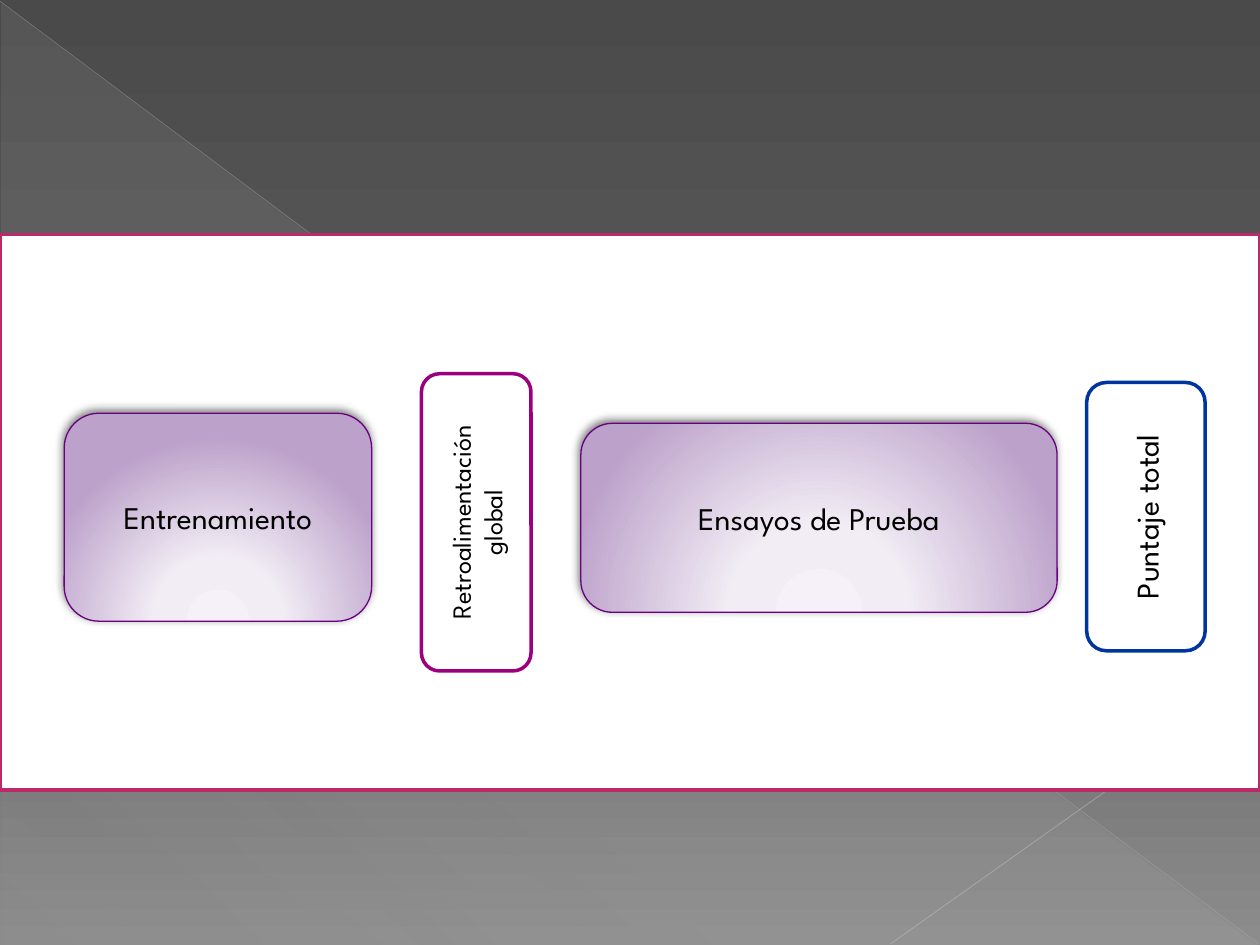
from dataclasses import dataclass

from lxml import etree
from pptx import Presentation
from pptx.dml.color import RGBColor
from pptx.enum import shapes, text
from pptx.oxml import ns
from pptx.util import Inches, Pt


@dataclass(frozen=True)
class Theme:
    """Colours, gradients and type of the slide."""
    font: str = "League Spartan"
    body: int = 18
    small: int = 15
    ink: str = "000000"
    white: str = "FFFFFF"
    band: str = "BD2968"
    stage: str = "68007F"
    feedback: str = "9C007F"
    score: str = "00349E"
    backdrop: tuple = ((0, "4A4A4A", 100), (60, "626262", 100), (100, "8C8C8C", 100))
    veil: tuple = ((0, "D2D2D2", 10), (70, "D2D2D2", 8), (100, "D2D2D2", 1))
    glow: tuple = ((0, "F6F1F8", 100), (34, "F2EDF5", 100), (100, "BCA1CA", 100))


THEME = Theme()


def add_xml(parent, tag, **attrs):
    """Append a DrawingML element with the given attributes."""
    return etree.SubElement(parent, ns.qn(f"a:{tag}"), {k: str(v) for k, v in attrs.items()})


def add_alpha(color, percent):
    """Set the opacity of a colour element."""
    add_xml(color, "alpha", val=percent * 1000)


def set_gradient(fill, owner, stops, angle=None):
    """Fill with a linear gradient, or with a circular one if no angle is given."""
    fill.gradient()
    grad = owner.find(f".//{ns.qn('a:gradFill')}")
    for child in list(grad):
        grad.remove(child)
    stop_list = add_xml(grad, "gsLst")
    for position, color, opacity in stops:
        stop = add_xml(stop_list, "gs", pos=position * 1000)
        add_alpha(add_xml(stop, "srgbClr", val=color), opacity)
    if angle is None:
        circle = add_xml(grad, "path", path="circle")
        add_xml(circle, "fillToRect", l=50000, t=155000, r=50000, b=-55000)
    else:
        add_xml(grad, "lin", ang=angle * 60000, scaled=0)


def add_shadow(sp):
    """Give a shape a soft outer shadow."""
    effects = sp._element.spPr.find(ns.qn("a:effectLst"))
    shadow = add_xml(effects, "outerShdw", blurRad=Pt(5), dist=Pt(2),
                     dir=245 * 60000, algn="tl", rotWithShape=0)
    add_alpha(add_xml(shadow, "srgbClr", val=THEME.ink), 50)


def add_line(s, start, end, color, width, opacity):
    """Draw a translucent straight line."""
    line = s.shapes.add_connector(shapes.MSO_CONNECTOR.STRAIGHT,
                                  *map(Inches, start + end))
    line.line.color.rgb = RGBColor.from_string(color)
    line.line.width = Pt(width)
    spPr = line._element.spPr
    add_alpha(spPr.find(f".//{ns.qn('a:srgbClr')}"), opacity)
    add_xml(spPr, "effectLst")


def add_shape(s, kind, box, line=None, width=2, fill=THEME.white):
    """Add a flat preset shape."""
    sp = s.shapes.add_shape(kind, *map(Inches, box))
    sp.shadow.inherit = False
    sp.fill.solid()
    sp.fill.fore_color.rgb = RGBColor.from_string(fill)
    if line:
        sp.line.color.rgb = RGBColor.from_string(line)
        sp.line.width = Pt(width)
    else:
        sp.line.fill.background()
    return sp


def write(sp, content, size=THEME.body, color=THEME.ink, align=text.PP_ALIGN.CENTER):
    """Write formatted text in the middle of a shape."""
    tf = sp.text_frame
    tf.word_wrap = True
    tf.vertical_anchor = text.MSO_ANCHOR.MIDDLE
    p = tf.paragraphs[0]
    p.alignment = align
    r = p.add_run()
    r.text = content
    r.font.name = THEME.font
    r.font.size = Pt(size)
    r.font.color.rgb = RGBColor.from_string(color)


def add_stage(s, content, box):
    """Add a glowing box for a stage of the task."""
    sp = add_shape(s, shapes.MSO_SHAPE.ROUNDED_RECTANGLE, box, THEME.stage, 0.75)
    set_gradient(sp.fill, sp._element, THEME.glow)
    add_shadow(sp)
    write(sp, content)


def add_result(s, content, box, line, size=THEME.body):
    """Add an outlined box that reads upwards."""
    sp = add_shape(s, shapes.MSO_SHAPE.ROUNDED_RECTANGLE, box, line)
    sp.rotation = 270
    write(sp, content, size=size)


def add_backdrop(s):
    """Draw the grey background with its veil and diagonal lines."""
    set_gradient(s.background.fill, s._element, THEME.backdrop, angle=90)
    veil = add_shape(s, shapes.MSO_SHAPE.RIGHT_TRIANGLE, (0.01, 0.02, 9.98, 7.48))
    set_gradient(veil.fill, veil._element, THEME.veil, angle=133)
    add_line(s, (0, 0.01), (9.99, 7.49), "BFBFBF", 0.39, 35)
    add_line(s, (10, 5.41), (7.07, 7.49), "C6C6C6", 0.47, 45)


def main():
    """Build the slide and save it."""
    prs = Presentation()
    prs.slide_width, prs.slide_height = Inches(10), Inches(7.5)
    s = prs.slides.add_slide(prs.slide_layouts[6])
    add_backdrop(s)
    add_shape(s, shapes.MSO_SHAPE.RECTANGLE, (0, 1.86, 10, 4.41), THEME.band)
    add_stage(s, "Entrenamiento", (0.51, 3.28, 2.44, 1.65))
    add_result(s, "Retroalimentación global", (2.6, 3.71, 2.36, 0.87),
               THEME.feedback, THEME.small)
    add_stage(s, "Ensayos de Prueba", (4.61, 3.36, 3.78, 1.5))
    add_result(s, "Puntaje total", (8.03, 3.63, 2.13, 0.94), THEME.score)
    prs.save("out.pptx")


if __name__ == "__main__":
    main()
